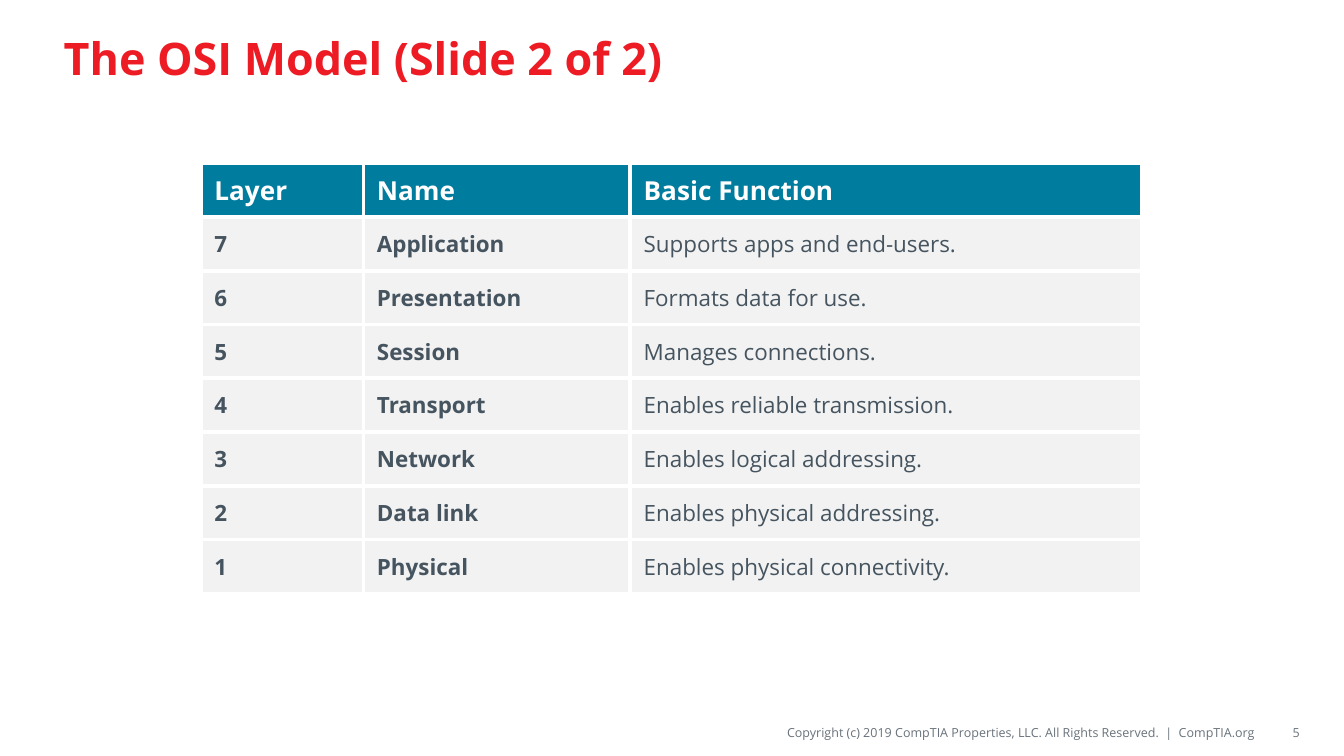
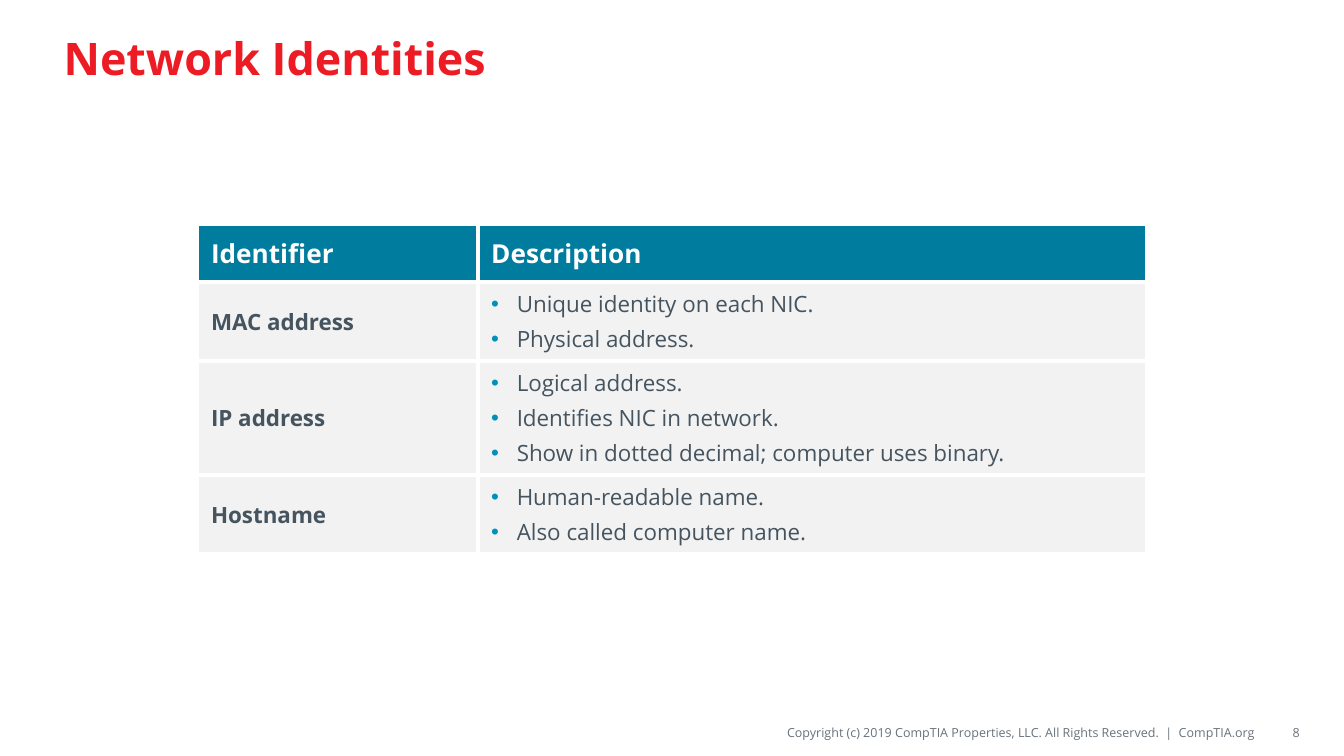
from lxml import etree
from pptx import Presentation
from pptx.dml.color import RGBColor
from pptx.enum.text import MSO_ANCHOR, PP_ALIGN
from pptx.oxml.ns import qn
from pptx.util import Emu, Pt

LEFT, RIGHT = PP_ALIGN.LEFT, PP_ALIGN.RIGHT
MIDDLE = MSO_ANCHOR.MIDDLE

FONT = "Open Sans"
RED, TEAL, BULLET_BLUE = "ED1C24", "007C9E", "0090B9"
SLATE, GRAY, LIGHT, WHITE = "45545F", "69727B", "F2F2F2", "FFFFFF"

TITLE = {"size": 24, "bold": True, "color": RED}
FOOTER = {"size": 6.75, "bold": False, "color": GRAY}
HEADER = {"size": 14, "bold": True, "color": WHITE}
LABEL = {"size": 12, "bold": True, "color": SLATE}
BODY = {**LABEL, "bold": False}

COPYRIGHT = ("Copyright (c) 2019 CompTIA Properties, LLC. "
             "All Rights Reserved.  |  CompTIA.org")

OSI_ROWS = [
    ("Layer", "Name", "Basic Function"),
    ("7", "Application", "Supports apps and end-users."),
    ("6", "Presentation", "Formats data for use."),
    ("5", "Session", "Manages connections."),
    ("4", "Transport", "Enables reliable transmission."),
    ("3", "Network", "Enables logical addressing."),
    ("2", "Data link", "Enables physical addressing."),
    ("1", "Physical", "Enables physical connectivity."),
]
IDENTITY_ROWS = [
    ("Identifier", "Description"),
    ("MAC address", ["Unique identity on each NIC.", "Physical address."]),
    ("IP address", ["Logical address.", "Identifies NIC in network.",
                    "Show in dotted decimal; computer uses binary."]),
    ("Hostname", ["Human-readable name.", "Also called computer name."]),
]


def px(n):
    """Convert px, 200 to the inch, into EMU."""
    return Emu(n * 4572)


def rgb(value):
    return RGBColor.from_string(value)


def add_color(parent, tag, value):
    el = etree.SubElement(parent, qn(tag))
    etree.SubElement(el, qn("a:srgbClr"), val=value)


class Deck:
    """Holds the presentation, its style and the current slide."""

    def __init__(self):
        self.prs = Presentation()
        self.prs.slide_width, self.prs.slide_height = px(2000), px(1125)

    def slide(self, title, number):
        self.s = self.prs.slides.add_slide(self.prs.slide_layouts[6])
        self.text((776, 1068, 1093, 44), COPYRIGHT, FOOTER, RIGHT, (0, 8, 0, 8))
        self.text((75, 16, 1850, 138), title, TITLE)
        self.text((1876, 1068, 58, 44), str(number), FOOTER, RIGHT,
                  (20, 10, 0, 10))

    def run(self, p, text, style):
        r = p.add_run()
        r.text = text
        formats = {"name": FONT, "size": Pt(style["size"]), "bold": style["bold"]}
        for name, value in formats.items():
            setattr(r.font, name, value)
        r.font.color.rgb = rgb(style["color"])

    def text(self, box, text, style, align=LEFT, insets=(20, 10, 20, 10)):
        tf = self.s.shapes.add_textbox(*map(px, box)).text_frame
        tf.word_wrap = True
        tf.vertical_anchor = MIDDLE
        for side, inset in zip(("left", "top", "right", "bottom"), insets):
            setattr(tf, f"margin_{side}", px(inset))
        p = tf.paragraphs[0]
        p.alignment = align
        self.run(p, text, style)

    def bullet(self, p):
        pPr = p._p.get_or_add_pPr()
        pPr.set("marL", str(px(38)))
        pPr.set("indent", str(-px(38)))
        add_color(pPr, "a:buClr", BULLET_BLUE)
        etree.SubElement(pPr, qn("a:buFont"), typeface="Arial")
        etree.SubElement(pPr, qn("a:buChar"), char="•")

    def cell(self, cell, content, style, fill):
        """Fill a cell; a list becomes bullets."""
        tcPr = cell._tc.get_or_add_tcPr()
        for tag in ("a:lnL", "a:lnR", "a:lnT", "a:lnB"):
            ln = etree.SubElement(tcPr, qn(tag), w=str(Pt(2.25)))
            add_color(ln, "a:solidFill", WHITE)
        cell.fill.solid()
        cell.fill.fore_color.rgb = rgb(fill)
        cell.vertical_anchor = MIDDLE
        bulleted = isinstance(content, list)
        tf = cell.text_frame
        for i, line in enumerate(content if bulleted else [content]):
            p = tf.add_paragraph() if i else tf.paragraphs[0]
            if bulleted:
                self.bullet(p)
            if i:
                p.space_before = Pt(2.4)
            self.run(p, line, style)

    def table(self, left, top, widths, heights, rows):
        """Draw a table: header row, bold labels, plain last column."""
        frame = self.s.shapes.add_table(
            len(rows), len(widths), px(left), px(top),
            px(sum(widths)), px(sum(heights)))
        table = frame.table
        table.horz_banding = False
        for col, width in zip(table.columns, widths):
            col.width = px(width)
        for row, height in zip(table.rows, heights):
            row.height = px(height)
        last = len(widths) - 1
        for i, row in enumerate(rows):
            for j, content in enumerate(row):
                style = HEADER if i == 0 else BODY if j == last else LABEL
                self.cell(table.cell(i, j), content, style,
                          LIGHT if i else TEAL)


def main():
    deck = Deck()
    deck.slide("The OSI Model (Slide 2 of 2)", 5)
    deck.table(299, 243, (242, 397, 762), [80] * len(OSI_ROWS), OSI_ROWS)
    deck.slide("Network Identities", 8)
    deck.table(294, 334, (417, 995), (86, 117, 170, 117), IDENTITY_ROWS)
    deck.prs.save("out.pptx")


if __name__ == "__main__":
    main()
